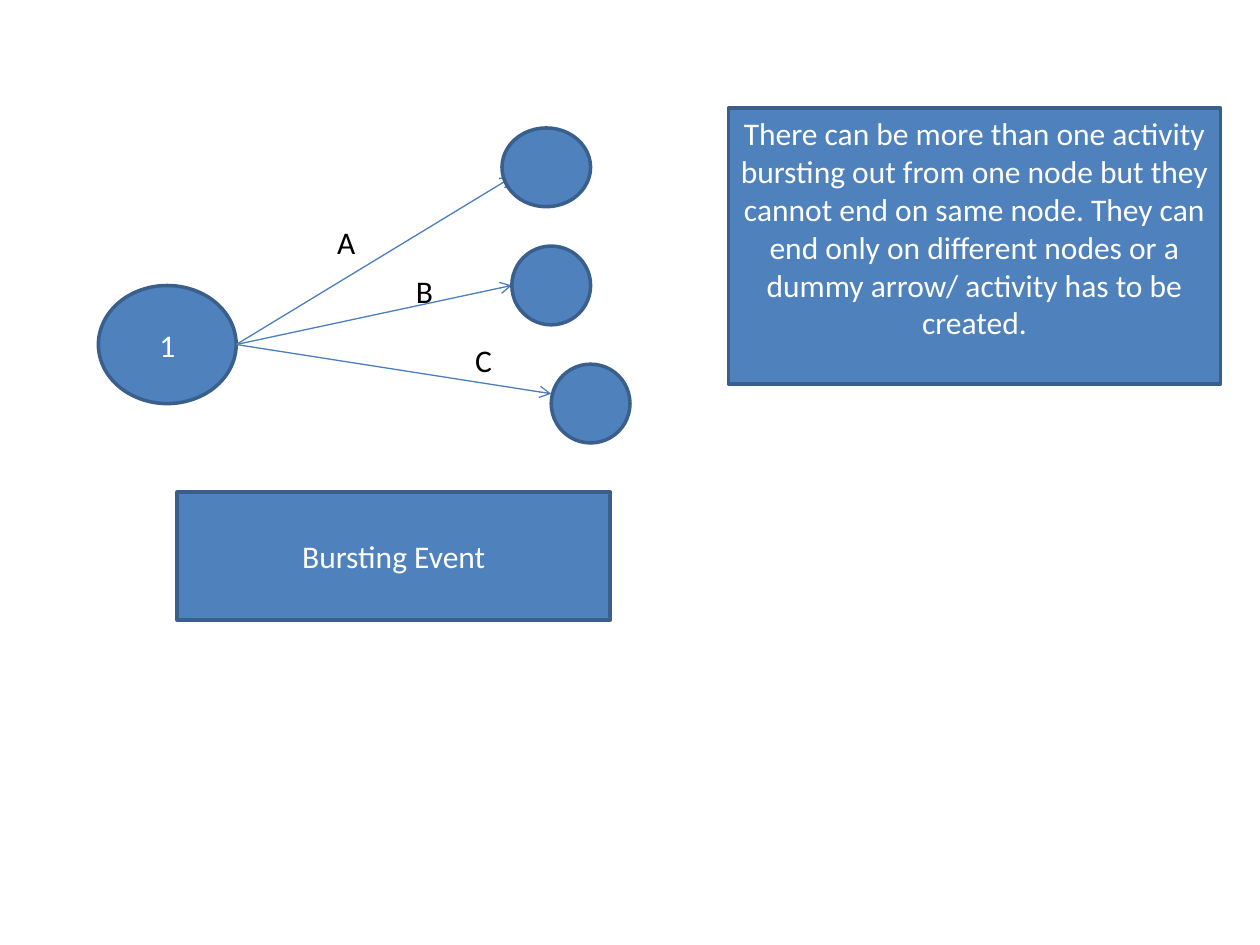
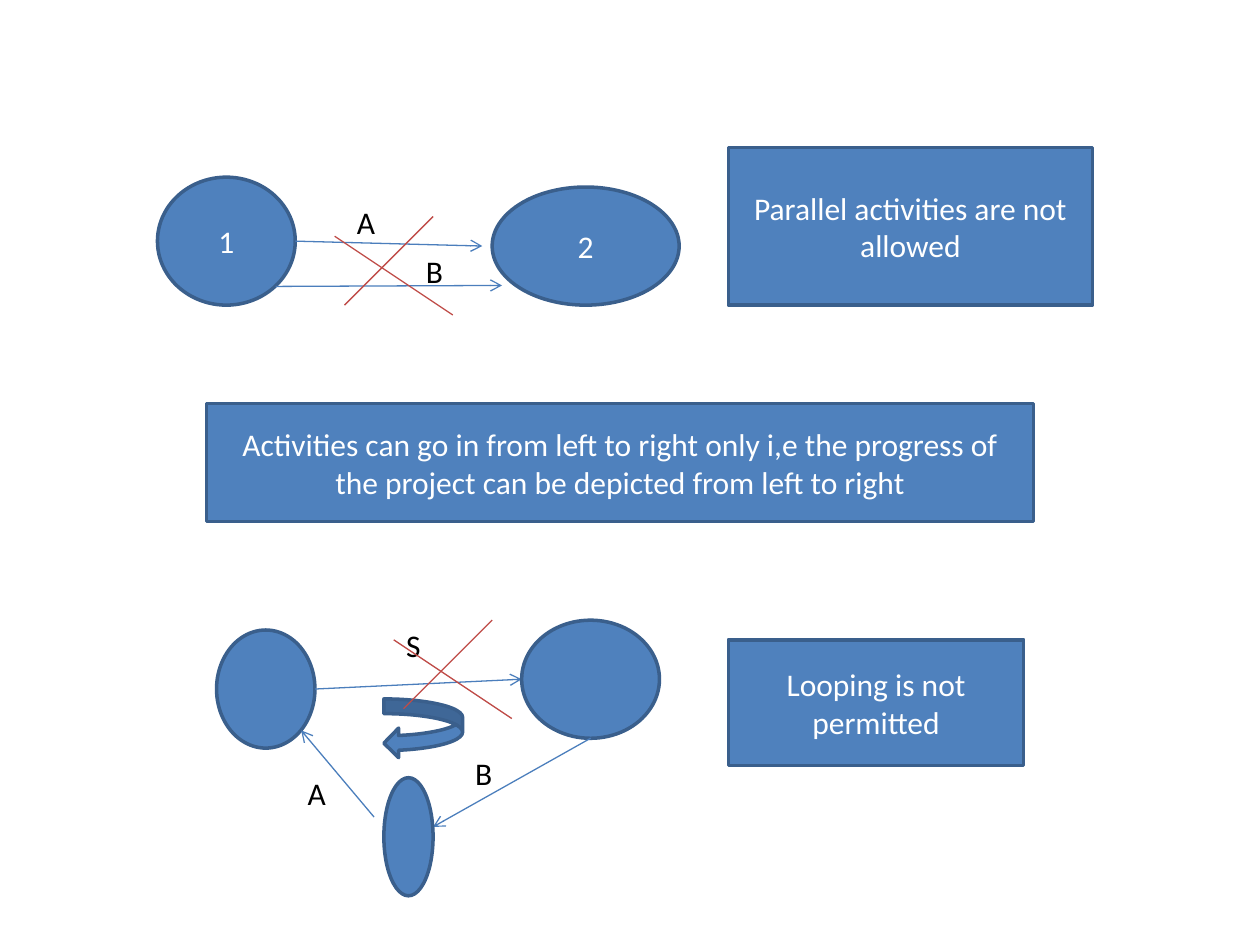
from lxml import etree
from pptx import Presentation
from pptx.dml.color import RGBColor
from pptx.enum.shapes import MSO_CONNECTOR, MSO_SHAPE
from pptx.enum.text import MSO_ANCHOR, MSO_AUTO_SIZE, PP_ALIGN
from pptx.oxml.ns import qn
from pptx.util import Inches, Pt

ELLIPSE = MSO_SHAPE.OVAL
RECTANGLE = MSO_SHAPE.RECTANGLE
LOOP_ARROW = MSO_SHAPE.CURVED_LEFT_ARROW
STRAIGHT = MSO_CONNECTOR.STRAIGHT
TOP = MSO_ANCHOR.TOP
MIDDLE = MSO_ANCHOR.MIDDLE
CENTER = PP_ALIGN.CENTER
LEFT = PP_ALIGN.LEFT
FIT_SHAPE = MSO_AUTO_SIZE.SHAPE_TO_FIT_TEXT

WIDTH, HEIGHT = Inches(10), Inches(7.5)
COLUMNS, ROWS = 128, 96
BLANK_LAYOUT = 6
LABEL_ROWS = 5.17


def color(value):
    return RGBColor.from_string(value)


class NetworkDeck:
    font = "Calibri"
    text_size = Pt(18)
    fill = "4F81BD"
    border = "3A5F8C"
    arrow_color = "4B7EBC"
    cross_color = "BF4C48"
    light_text = "FFFFFF"
    dark_text = "000000"

    def __init__(self):
        self.presentation = Presentation()
        self.presentation.slide_width = WIDTH
        self.presentation.slide_height = HEIGHT
        self.slide = None

    def new_slide(self):
        layout = self.presentation.slide_layouts[BLANK_LAYOUT]
        self.slide = self.presentation.slides.add_slide(layout)

    def grid(self, *lengths):
        units = (WIDTH / COLUMNS, HEIGHT / ROWS)
        return [round(length * units[index % 2]) for index, length in enumerate(lengths)]

    def add_text(self, shape, text, text_color, alignment, anchor):
        frame = shape.text_frame
        frame.word_wrap = True
        frame.vertical_anchor = anchor
        paragraph = frame.paragraphs[0]
        paragraph.alignment = alignment
        run = paragraph.add_run()
        run.text = text
        run.font.name = self.font
        run.font.size = self.text_size
        run.font.color.rgb = color(text_color)

    def shape(self, kind, area, text="", anchor=MIDDLE):
        shape = self.slide.shapes.add_shape(kind, *self.grid(*area))
        shape.shadow.inherit = False
        shape.fill.solid()
        shape.fill.fore_color.rgb = color(self.fill)
        shape.line.color.rgb = color(self.border)
        shape.line.width = Pt(2)
        if text:
            self.add_text(shape, text, self.light_text, CENTER, anchor)

    def node(self, area, text=""):
        self.shape(ELLIPSE, area, text)

    def note(self, area, text, anchor=MIDDLE):
        self.shape(RECTANGLE, area, text, anchor)

    def label(self, text, column, row, columns):
        box = self.slide.shapes.add_textbox(*self.grid(column, row, columns, LABEL_ROWS))
        self.add_text(box, text, self.dark_text, LEFT, TOP)
        box.text_frame.auto_size = FIT_SHAPE

    def line(self, shapes, start, end, line_color):
        connector = shapes.add_connector(STRAIGHT, *self.grid(*start, *end))
        connector.line.color.rgb = color(line_color)
        connector.line.width = Pt(0.75)
        etree.SubElement(connector.element.spPr, qn("a:effectLst"))
        return connector

    def arrow(self, start, end):
        connector = self.line(self.slide.shapes, start, end, self.arrow_color)
        outline = connector.element.spPr.find(qn("a:ln"))
        etree.SubElement(outline, qn("a:tailEnd")).set("type", "arrow")

    def cross(self, column, row):
        group = self.slide.shapes.add_group_shape()
        for start, end in (((0, 2), (12, 10)), ((10, 0), (1, 9))):
            self.line(
                group.shapes,
                (column + start[0], row + start[1]),
                (column + end[0], row + end[1]),
                self.cross_color,
            )


def bursting_event(deck):
    deck.new_slide()
    deck.node((10, 29, 14, 12), "1")
    for end in ((52, 18), (56, 40), (52, 29)):
        deck.arrow((24, 35), end)
    deck.label("A", 33, 22, 6)
    deck.label("B", 41, 27, 5)
    deck.label("C", 47, 34, 7)
    deck.note((18, 50, 44, 13), "Bursting Event")
    for area in ((51, 13, 9, 8), (52, 25, 8, 8), (56, 37, 8, 8)):
        deck.node(area)
    deck.note(
        (74, 11, 50, 28),
        "There can be more than one activity bursting out from one node but they "
        "cannot end on same node. They can end only on different nodes or a dummy "
        "arrow/ activity has to be created.",
        TOP,
    )


def forbidden_patterns(deck):
    deck.new_slide()
    deck.node((16, 18, 14, 13), "1")
    deck.arrow((30, 24.5), (49, 25))
    deck.node((50, 19, 19, 12), "2")
    deck.arrow((28, 29.1), (51, 29))
    deck.label("A", 35, 20, 4)
    deck.label("B", 42, 25, 5)
    deck.note((74, 15, 37, 16), "Parallel activities are not allowed")
    deck.note(
        (21, 41, 84, 12),
        "Activities can go in from left to right only i,e the progress of the "
        "project can be depicted from left to right",
    )
    deck.node((22, 64, 10, 12))
    deck.arrow((32, 70), (53, 69))
    deck.node((53, 63, 14, 12))
    deck.label("S", 40, 63, 7)
    deck.arrow((60, 75), (44, 84))
    deck.label("B", 47, 76, 4)
    deck.node((39, 79, 5, 12))
    deck.arrow((38, 83), (30.6, 74.2))
    deck.label("A", 30, 78, 5)
    deck.shape(LOOP_ARROW, (39, 71, 8, 6))
    deck.cross(34, 22)
    deck.cross(40, 63)
    deck.note((74, 65, 30, 12.8), "Looping is not permitted")


def main():
    deck = NetworkDeck()
    bursting_event(deck)
    forbidden_patterns(deck)
    deck.presentation.save("out.pptx")


if __name__ == "__main__":
    main()
